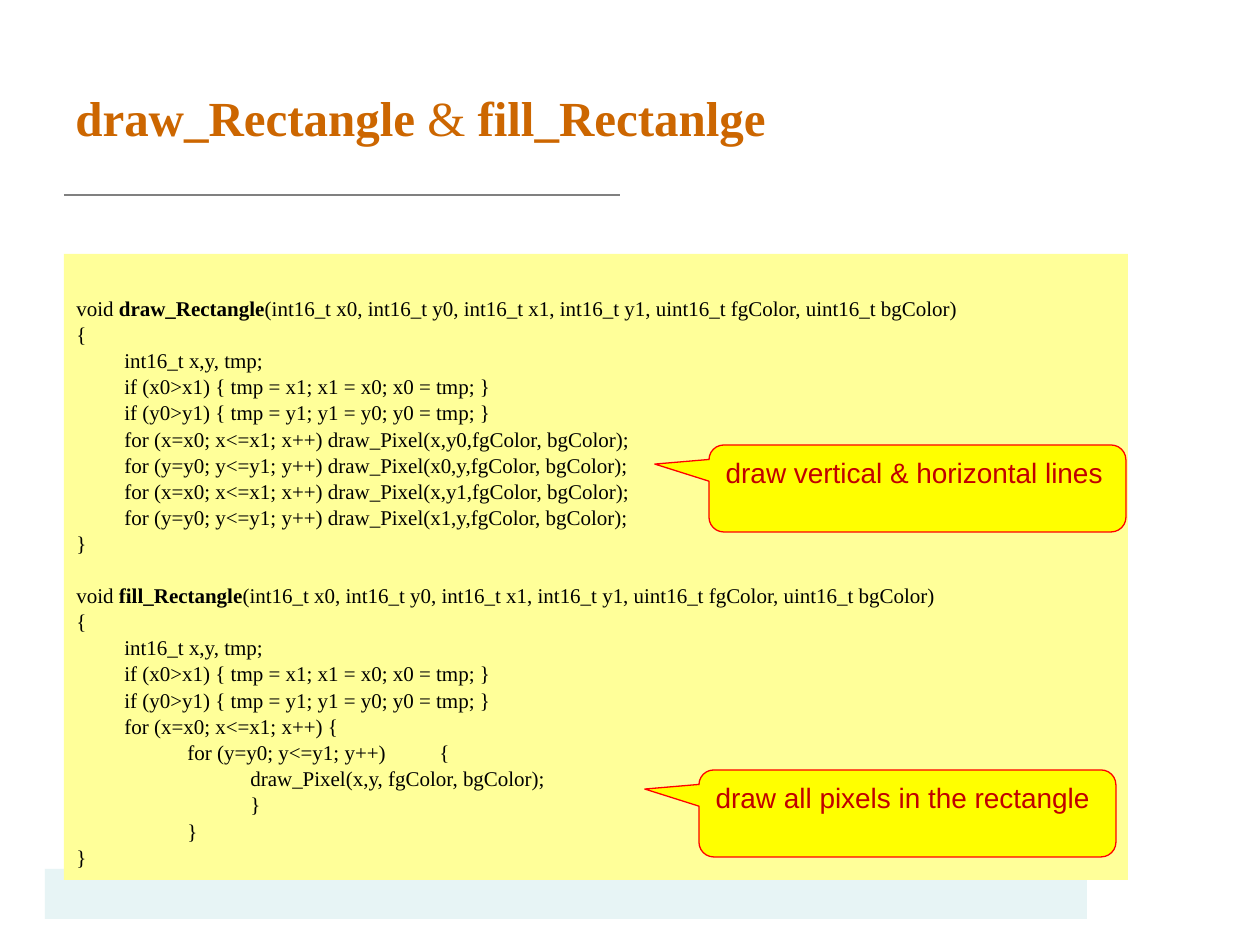
from dataclasses import dataclass

from lxml import etree
from pptx import Presentation
from pptx.dml.color import RGBColor
from pptx.enum.shapes import MSO_CONNECTOR, MSO_SHAPE
from pptx.enum.text import MSO_ANCHOR, PP_ALIGN
from pptx.oxml.ns import qn
from pptx.util import Emu, Pt

RECT = MSO_SHAPE.RECTANGLE
CALLOUT = MSO_SHAPE.ROUNDED_RECTANGULAR_CALLOUT
STRAIGHT = MSO_CONNECTOR.STRAIGHT
TOP, MIDDLE = MSO_ANCHOR.TOP, MSO_ANCHOR.MIDDLE
LEFT = PP_ALIGN.LEFT
PX_PER_INCH = 126


def px(length: int) -> Emu:
    return Emu(round(length * 914400 / PX_PER_INCH))


def rgb(value: str) -> RGBColor:
    return RGBColor.from_string(value)


@dataclass(frozen=True)
class Theme:
    serif: str = "Times New Roman"
    sans: str = "Arial"
    title: RGBColor = rgb("CC6600")
    rule: RGBColor = rgb("808080")
    footer: RGBColor = rgb("E7F4F5")
    panel: RGBColor = rgb("FFFF99")
    code: RGBColor = rgb("000000")
    note_fill: RGBColor = rgb("FFFF00")
    note_line: RGBColor = rgb("FF0000")
    note_text: RGBColor = rgb("C00000")
    title_size: Pt = Pt(28)
    code_size: Pt = Pt(12)
    note_size: Pt = Pt(16)
    line_width: Pt = Pt(0.75)
    code_gap: Pt = Pt(3.45)
    function_gap: Pt = Pt(17.95)


@dataclass(frozen=True)
class Box:
    left: int
    top: int
    width: int
    height: int

    def emu(self) -> tuple[Emu, ...]:
        return tuple(px(n) for n in (self.left, self.top, self.width, self.height))


@dataclass(frozen=True)
class Note:
    text: str
    box: Box


@dataclass(frozen=True)
class Function:
    name: str
    body: tuple[str, ...]


THEME = Theme()
PARAMETERS = "(int16_t x0, int16_t y0, int16_t x1, int16_t y1, uint16_t fgColor, uint16_t bgColor)"
SWAPS = (
    "{",
    "\tint16_t x,y, tmp;",
    "\tif (x0>x1) { tmp = x1; x1 = x0; x0 = tmp; }",
    "\tif (y0>y1) { tmp = y1; y1 = y0; y0 = tmp; }",
)
FUNCTIONS = (
    Function("draw_Rectangle", (
        *SWAPS,
        "\tfor (x=x0; x<=x1; x++) draw_Pixel(x,y0,fgColor, bgColor);",
        "\tfor (y=y0; y<=y1; y++) draw_Pixel(x0,y,fgColor, bgColor);",
        "\tfor (x=x0; x<=x1; x++) draw_Pixel(x,y1,fgColor, bgColor);",
        "\tfor (y=y0; y<=y1; y++) draw_Pixel(x1,y,fgColor, bgColor);",
        "}",
    )),
    Function("fill_Rectangle", (
        *SWAPS,
        "\tfor (x=x0; x<=x1; x++) {",
        "\t\tfor (y=y0; y<=y1; y++) \t{",
        "\t\t\tdraw_Pixel(x,y, fgColor, bgColor);",
        "\t\t\t}",
        "\t\t}",
        "}",
    )),
)
NOTES = (
    Note("draw vertical & horizontal lines", Box(709, 445, 417, 87)),
    Note("draw all pixels in the rectangle", Box(699, 770, 417, 87)),
)


def add_filled(slide, preset, box: Box, fill: RGBColor):
    shape = slide.shapes.add_shape(preset, *box.emu())
    shape.shadow.inherit = False
    shape.fill.solid()
    shape.fill.fore_color.rgb = fill
    shape.line.fill.background()
    return shape


def style(paragraph, face: str, size: Pt, color: RGBColor) -> None:
    paragraph.alignment = LEFT
    paragraph.font.name = face
    paragraph.font.size = size
    paragraph.font.color.rgb = color


def add_runs(paragraph, *runs: tuple[str, bool]) -> None:
    for text, bold in runs:
        run = paragraph.add_run()
        run.text = text
        run.font.bold = bold


def set_tabs(paragraph) -> None:
    """Hanging indent with a tab stop at every inch."""
    properties = paragraph._p.get_or_add_pPr()
    properties.set("marL", str(px(48)))
    properties.set("indent", str(-px(48)))
    stops = etree.SubElement(properties, qn("a:tabLst"))
    for inch in range(8):
        etree.SubElement(stops, qn("a:tab"), pos=str(px(inch * PX_PER_INCH)), algn="l")


def add_rule(slide, left: int, right: int, y: int) -> None:
    rule = slide.shapes.add_connector(STRAIGHT, px(left), px(y), px(right), px(y))
    rule.line.color.rgb = THEME.rule
    rule.line.width = THEME.line_width
    etree.SubElement(rule._element.spPr, qn("a:effectLst"))


def add_title(slide, box: Box) -> None:
    frame = slide.shapes.add_textbox(*box.emu()).text_frame
    frame.word_wrap = True
    frame.vertical_anchor = MIDDLE
    heading = frame.paragraphs[0]
    style(heading, THEME.serif, THEME.title_size, THEME.title)
    add_runs(heading, ("draw_Rectangle", True), (" & ", False), ("fill_Rectanlge", True))


def add_code(slide, box: Box, functions: tuple[Function, ...]) -> None:
    frame = add_filled(slide, RECT, box, THEME.panel).text_frame
    frame.word_wrap = True
    frame.vertical_anchor = TOP
    frame.margin_top = px(46)
    first = True
    for function in functions:
        signature = (("void ", False), (function.name, True), (PARAMETERS, False))
        lines = (signature, *(((text, False),) for text in function.body))
        for runs in lines:
            row = frame.paragraphs[0] if first else frame.add_paragraph()
            row.line_spacing = 0.8
            if not first:
                row.space_before = THEME.function_gap if runs is signature else THEME.code_gap
            set_tabs(row)
            style(row, THEME.serif, THEME.code_size, THEME.code)
            add_runs(row, *runs)
            first = False


def add_note(slide, note: Note) -> None:
    callout = add_filled(slide, CALLOUT, note.box, THEME.note_fill)
    callout.line.color.rgb = THEME.note_line
    callout.line.width = THEME.line_width
    for index, value in enumerate((-0.63, -0.28, 0.17)):
        callout.adjustments[index] = value
    frame = callout.text_frame
    frame.word_wrap = True
    frame.vertical_anchor = TOP
    remark = frame.paragraphs[0]
    remark.text = note.text
    style(remark, THEME.sans, THEME.note_size, THEME.note_text)


def main() -> None:
    deck = Presentation()
    deck.slide_width, deck.slide_height = px(1260), px(945)
    slide = deck.slides.add_slide(deck.slide_layouts[6])

    # Footer band, rule and title
    add_filled(slide, RECT, Box(45, 869, 1042, 50), THEME.footer)
    add_rule(slide, 64, 620, 195)
    add_title(slide, Box(63, 38, 1134, 158))

    # Code panel with its remarks
    add_code(slide, Box(64, 254, 1064, 626), FUNCTIONS)
    for note in NOTES:
        add_note(slide, note)

    deck.save("out.pptx")


if __name__ == "__main__":
    main()
